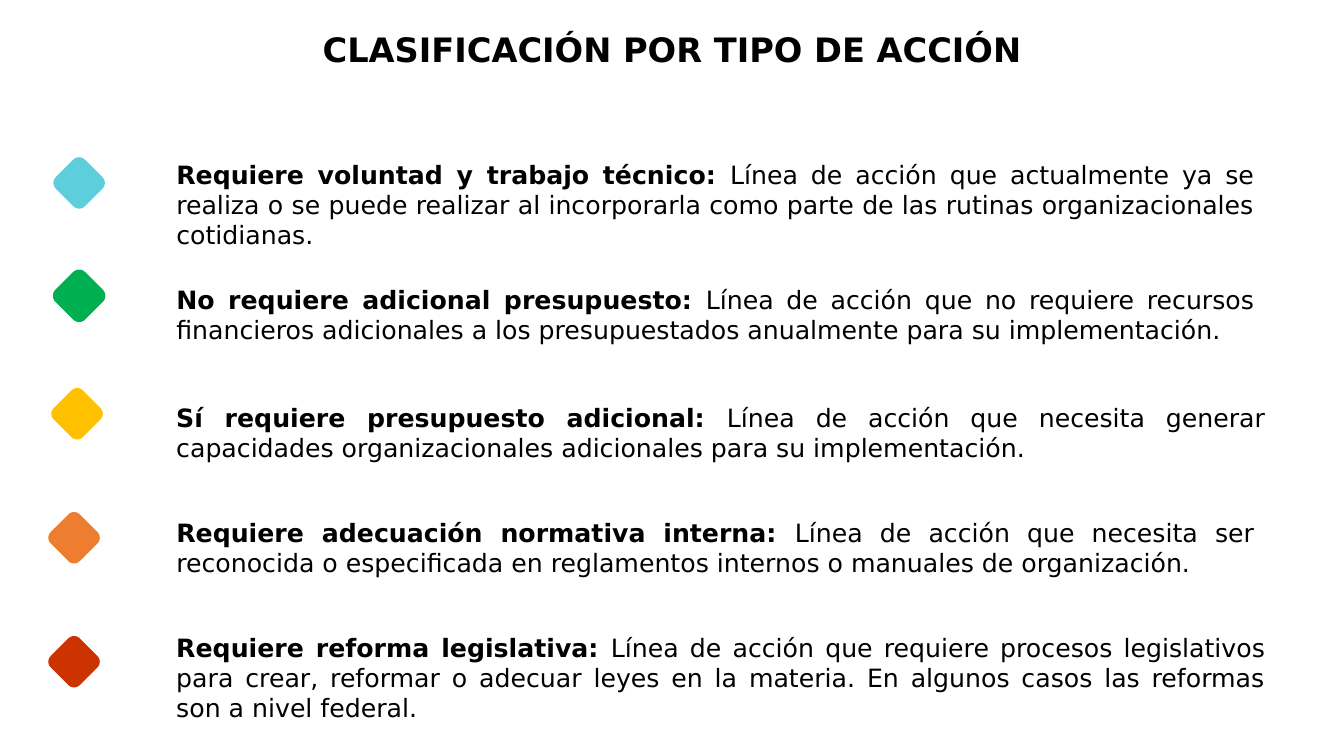
from math import cos, pi, sin

from pptx import Presentation
from pptx import util as u
from pptx.dml.color import RGBColor
from pptx.enum import text

BLACK = RGBColor(0x00, 0x00, 0x00)
SKY = RGBColor(0x5D, 0xCE, 0xDB)
GREEN = RGBColor(0x00, 0xB0, 0x50)
GOLD = RGBColor(0xFF, 0xC0, 0x00)
ORANGE = RGBColor(0xED, 0x7D, 0x31)
RED = RGBColor(0xCC, 0x33, 0x00)

# Marker colour, marker left and top, text top, text width, text lines, term, meaning
ITEMS = [
    (SKY, 5.3, 15.6, 15.3, 108.9, 3, "Requiere voluntad y trabajo técnico:",
     "Línea de acción que actualmente ya se realiza o se puede realizar al "
     "incorporarla como parte de las rutinas organizacionales cotidianas."),
    (GREEN, 5.3, 26.8, 27.7, 108.9, 2, "No requiere adicional presupuesto:",
     "Línea de acción que no requiere recursos financieros adicionales a los "
     "presupuestados anualmente para su implementación."),
    (GOLD, 5.1, 38.5, 39.4, 110, 2, "Sí requiere presupuesto adicional:",
     "Línea de acción que necesita generar capacidades organizacionales "
     "adicionales para su implementación."),
    (ORANGE, 4.8, 50.8, 50.8, 108.9, 2, "Requiere adecuación normativa interna:",
     "Línea de acción que necesita ser reconocida o especificada en "
     "reglamentos internos o manuales de organización."),
    (RED, 4.8, 63.1, 62.2, 110, 3, "Requiere reforma legislativa:",
     "Línea de acción que requiere procesos legislativos para crear, reformar "
     "o adecuar leyes en la materia. En algunos casos las reformas son a "
     "nivel federal."),
]


class Deck:
    """Style and current slide; lengths are cells of a tenth of an inch."""
    face = "DejaVu Sans"
    cell = u.Inches(0.1)

    def __init__(self, show):
        self.slide = show.slides.add_slide(show.slide_layouts[5])

    def place(self, *cells):
        return [round(n * self.cell) for n in cells]

    def style(self, font, size):
        font.name, font.size = self.face, u.Pt(size)
        font.color.rgb = BLACK

    def title(self, words, *box):
        shape = self.slide.shapes.title
        shape.left, shape.top, shape.width, shape.height = self.place(*box)
        frame = shape.text_frame
        frame.text = words
        frame.word_wrap = False
        frame.auto_size = text.MSO_AUTO_SIZE.SHAPE_TO_FIT_TEXT
        frame.vertical_anchor = text.MSO_ANCHOR.TOP
        para = frame.paragraphs[0]
        para.alignment = text.PP_ALIGN.CENTER
        para.line_spacing, para.space_before = 1.0, u.Pt(0)
        self.style(para.font, 24)
        para.font.bold = True

    def entry(self, term, meaning, *box):
        frame = self.slide.shapes.add_textbox(*self.place(*box)).text_frame
        frame.word_wrap = True
        frame.auto_size = text.MSO_AUTO_SIZE.SHAPE_TO_FIT_TEXT
        para = frame.paragraphs[0]
        para.alignment = text.PP_ALIGN.JUSTIFY
        for words, bold in ((term + " ", True), (meaning, False)):
            run = para.add_run()
            run.text = words
            self.style(run.font, 18)
            run.font.bold = bold

    def gem(self, left, top, color, edge=False):
        """Diamond with a quarter-circle arc at each tip."""
        half, arc, steps = 2.55, 0.8, 8
        reach = half - arc
        points = []
        for tip in range(4):
            aim = tip * pi / 2
            for step in range(steps + 1):
                turn = aim + (step / steps - 0.5) * pi / 2
                points.append(self.place(
                    left + half + reach * cos(aim) + arc * cos(turn),
                    top + half + reach * sin(aim) + arc * sin(turn)))
        pen = self.slide.shapes.build_freeform(*points[0])
        pen.add_line_segments(points[1:], close=True)
        shape = pen.convert_to_shape()
        shape.shadow.inherit = False
        shape.fill.solid()
        shape.fill.fore_color.rgb = color
        if edge:
            shape.line.color.rgb = color
            shape.line.width = u.Pt(0.75)
        else:
            shape.line.fill.background()


def main():
    show = Presentation()
    show.slide_width, show.slide_height = u.Inches(13.33), u.Inches(7.5)
    deck = Deck(show)

    # Heading
    deck.title("CLASIFICACIÓN POR TIPO DE ACCIÓN", 29.3, 2.4, 74.7, 5)

    # Action types with their markers
    for color, left, high, top, width, lines, term, meaning in ITEMS:
        deck.entry(term, meaning, 16.5, top, width, 1 + 3.03 * lines)
        deck.gem(left, high, color, edge=color == GREEN)

    show.save("out.pptx")


if __name__ == "__main__":
    main()
